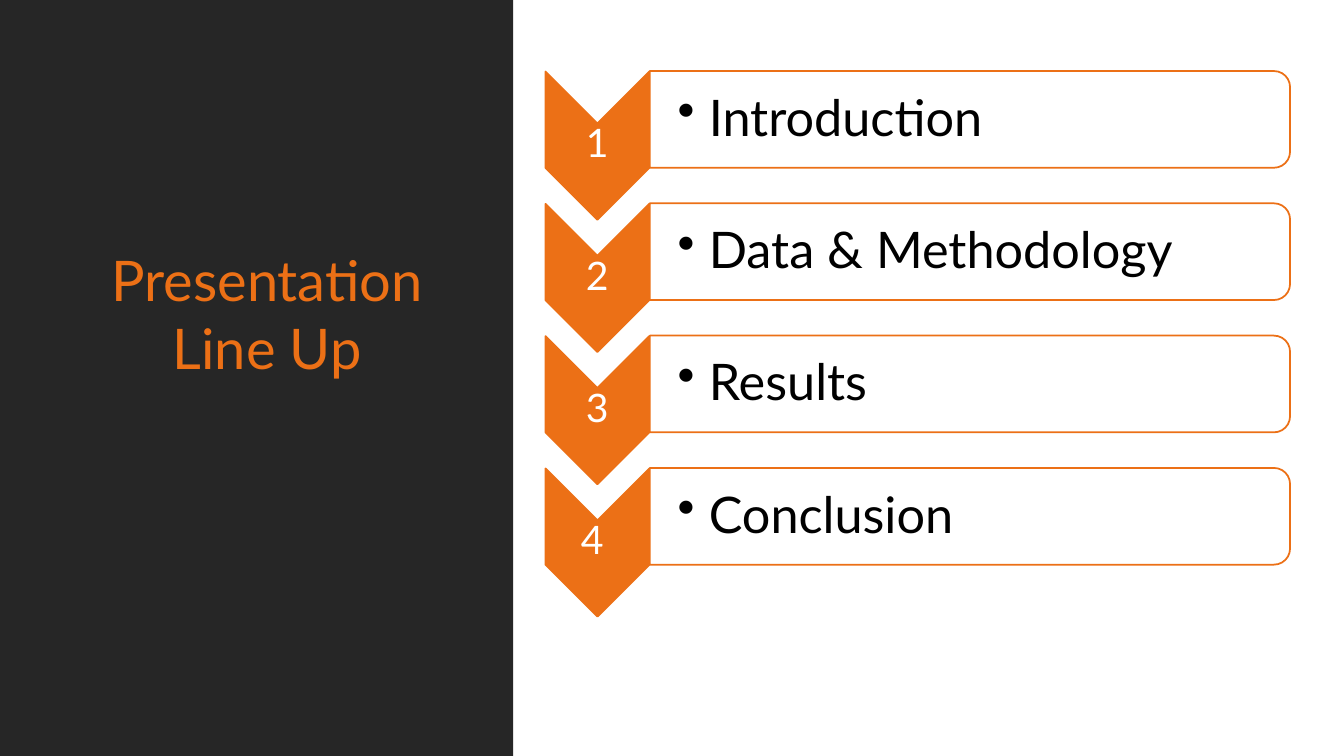
"""Build the agenda slide: a dark title panel beside four numbered chevron rows."""
from lxml.etree import SubElement
from pptx import Presentation
from pptx.dml.color import RGBColor
from pptx.enum.shapes import MSO_SHAPE as Shape
from pptx.enum.text import MSO_ANCHOR as Anchor, MSO_AUTO_SIZE as AutoSize, PP_ALIGN as Align
from pptx.oxml.ns import qn
from pptx.util import Inches, Pt

COLORS = {"dark": "262626", "orange": "EC7016", "white": "FFFFFF", "black": "000000"}
FONT = "Lato"
WIDTH, HEIGHT = 13.33, 7.5
ROW_PITCH = HEIGHT * 0.175
TOPICS = ["Introduction", "Data & Methodology", "Results", "Conclusion"]
NUMBERS = ["1", "2", "3", "4 "]


def write_text(shape, text, size, color, align=Align.CENTER, anchor=Anchor.MIDDLE,
               left_inset=0.02, inset=0.02, spacing=0.9, bullet_indent=None):
    frame = shape.text_frame
    frame.word_wrap = True
    frame.auto_size = AutoSize.NONE
    frame.vertical_anchor = anchor
    frame.margin_left = Inches(left_inset)
    frame.margin_top = frame.margin_right = frame.margin_bottom = Inches(inset)
    paragraph = frame.paragraphs[0]
    paragraph.alignment = align
    paragraph.line_spacing = spacing
    run = paragraph.add_run()
    run.text = text
    run.font.name = FONT
    run.font.size = Pt(size)
    run.font.color.rgb = RGBColor.from_string(COLORS[color])
    if bullet_indent:
        properties = paragraph._p.get_or_add_pPr()
        properties.set("marL", str(Inches(bullet_indent)))
        properties.set("indent", str(-Inches(bullet_indent)))
        SubElement(properties, qn("a:buChar")).set("char", "•")


def add_block(kind, left, top, width, height, fill, line=None, rotation=0):
    shape = slide.shapes.add_shape(kind, Inches(left), Inches(top), Inches(width), Inches(height))
    shape.shadow.inherit = False
    shape.rotation = rotation
    shape.fill.solid()
    shape.fill.fore_color.rgb = RGBColor.from_string(COLORS[fill])
    if line:
        shape.line.color.rgb = RGBColor.from_string(COLORS[line])
        shape.line.width = Pt(1.25)
    else:
        shape.line.fill.background()
    return shape


presentation = Presentation()
presentation.slide_width, presentation.slide_height = Inches(WIDTH), Inches(HEIGHT)
slide = presentation.slides.add_slide(presentation.slide_layouts[5])

side_panel = add_block(Shape.RECTANGLE, 0, 0, 5.09, HEIGHT, "dark")
title = slide.shapes.title
side_panel._element.addnext(title._element)
title.left, title.top, title.width, title.height = map(Inches, (0.54, 2.39, 4.17, 1.45))
write_text(title, "Presentation Line Up", 40, "orange", anchor=Anchor.TOP,
           left_inset=0.1, inset=0.05, spacing=1.0)

for row, (number, topic) in enumerate(zip(NUMBERS, TOPICS)):
    offset = row * ROW_PITCH
    add_block(Shape.CHEVRON, 5.19, 0.93 + offset, 1.47, 1.03, "orange", "orange", rotation=90)
    number_box = slide.shapes.add_textbox(
        Inches(5.41), Inches(1.22 + offset), Inches(1.03), Inches(0.44))
    write_text(number_box, number, 28, "white")

    topic_panel = add_block(Shape.ROUND_2_SAME_RECTANGLE, 9.14, -1.99 + offset, 0.96, 6.35,
                            "white", "orange", rotation=90)
    panel_color = topic_panel._element.spPr.find(qn("a:solidFill"))[0]
    SubElement(panel_color, qn("a:alpha")).set("val", "90000")
    topic_box = slide.shapes.add_textbox(
        Inches(6.44), Inches(0.76 + offset), Inches(6.31), Inches(0.86))
    write_text(topic_box, topic, 36, "black", align=Align.LEFT,
               left_inset=0.28, inset=0.03, bullet_indent=0.31)

presentation.save("out.pptx")
